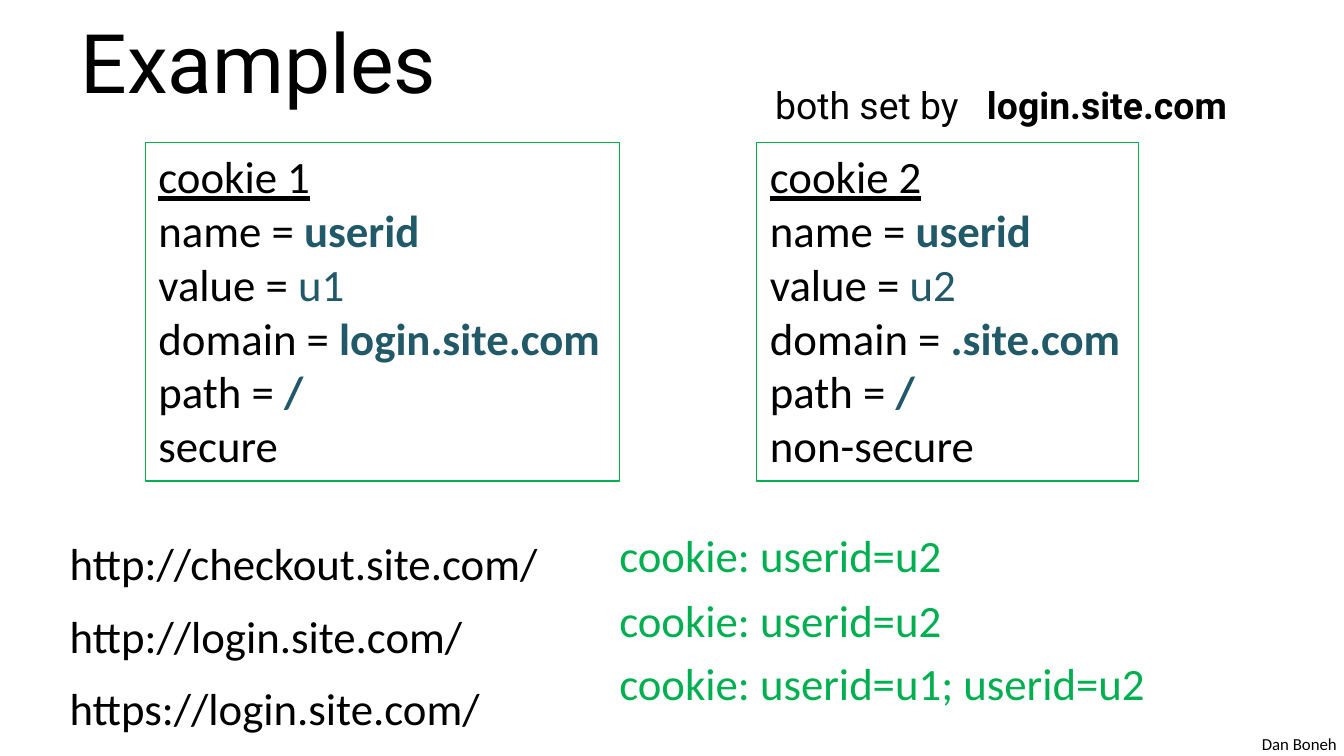
from dataclasses import dataclass
from lxml import etree
from pptx import Presentation
from pptx.dml.color import RGBColor as RGB
from pptx.enum.shapes import MSO_SHAPE as Kind
from pptx.enum.text import MSO_ANCHOR as Anchor, MSO_AUTO_SIZE as Fit, PP_ALIGN as Align
from pptx.oxml.ns import qn
from pptx.util import Pt


@dataclass(frozen=True)
class Theme:
    ink: RGB = RGB(0x00, 0x00, 0x00)
    teal: RGB = RGB(0x21, 0x59, 0x68)
    green: RGB = RGB(0x00, 0xB0, 0x50)
    head: str = "Roboto"
    body: str = "Calibri"
    title: int = 44
    main: int = 24
    note: int = 20
    foot: int = 9


theme = Theme()
deck = Presentation()
deck.slide_width, deck.slide_height = Pt(720), Pt(405)
slide = deck.slides.add_slide(deck.slide_layouts[6])
shapes = slide.shapes


def write(shape, lines, size=theme.main, font=theme.body, color=theme.ink,
          gaps=(), wrap=False, anchor=Anchor.TOP):
    """Fill a shape; each line is a list of (text, own format) runs."""
    frame = shape.text_frame
    frame.word_wrap = wrap
    frame.auto_size = Fit.NONE if wrap else Fit.SHAPE_TO_FIT_TEXT
    frame.vertical_anchor = anchor
    for i, line in enumerate(lines):
        para = frame.paragraphs[0] if i == 0 else frame.add_paragraph()
        para.alignment = Align.LEFT
        if gaps:
            para.space_before = Pt(gaps[i])
        for text, own in line:
            run = para.add_run()
            run.text = text
            run.font.size, run.font.name = Pt(size), font
            run.font.color.rgb = own.get("color", color)
            run.font.bold = own.get("bold", False)
            run.font.underline = own.get("line", False)
    return frame


def place(left, top, width, height):
    return shapes.add_textbox(Pt(left), Pt(top), Pt(width), Pt(height))


# Footer and title
write(place(668.9, 389.5, 54.7, 18), [[("Dan Boneh", {})]], size=theme.foot)
write(place(36, -1.4, 648, 67.7), [[("Examples", {})]], size=theme.title,
      font=theme.head, wrap=True, anchor=Anchor.MIDDLE)

# Requested addresses
urls = ["http://checkout.site.com/", "http://login.site.com/", "https://login.site.com/"]
write(place(30.2, 283.7, 300.2, 110.9), [[(url, {})] for url in urls],
      gaps=(10, 10, 10), wrap=True)

# Cookie boxes
value = {"color": theme.teal}
strong = {"color": theme.teal, "bold": True}
cookies = [
    (77.8, 254.2, "cookie 1", "u1", "login.site.com", "secure"),
    (405.4, 204.5, "cookie 2", "u2", ".site.com", "non-secure"),
]
for left, width, name, user, domain, flag in cookies:
    box = shapes.add_shape(Kind.RECTANGLE, Pt(left), Pt(76.3), Pt(width), Pt(181.4))
    box.shadow.inherit = False
    box.fill.background()
    box.line.color.rgb = theme.green
    box.line.width = Pt(0.75)
    write(box, [
        [(name, {"line": True})],
        [("name = ", {}), ("userid", strong)],
        [("value = ", {}), (user, value)],
        [("domain = ", {}), (domain, strong)],
        [("path = ", {}), ("/", strong)],
        [(flag, {})],
    ])

# Origin of both cookies, with a tab stop before the host
frame = write(place(408.2, 40.3, 275.8, 31.7),
              [[("both set by\t", {}), ("login.site.com", {"bold": True})]],
              size=theme.note, font=theme.head)
props = frame.paragraphs[0]._p.get_or_add_pPr()
tabs = etree.SubElement(props, qn("a:tabLst"))
etree.SubElement(tabs, qn("a:tab"), pos=str(Pt(113.5)), algn="l")

# Cookies sent for each address
sent = ["cookie: userid=u2", "cookie: userid=u2", "cookie: userid=u1; userid=u2"]
write(place(324.7, 279.4, 298.8, 105.8), [[(text, {})] for text in sent],
      color=theme.green, gaps=(10, 6, 5))

deck.save("out.pptx")
